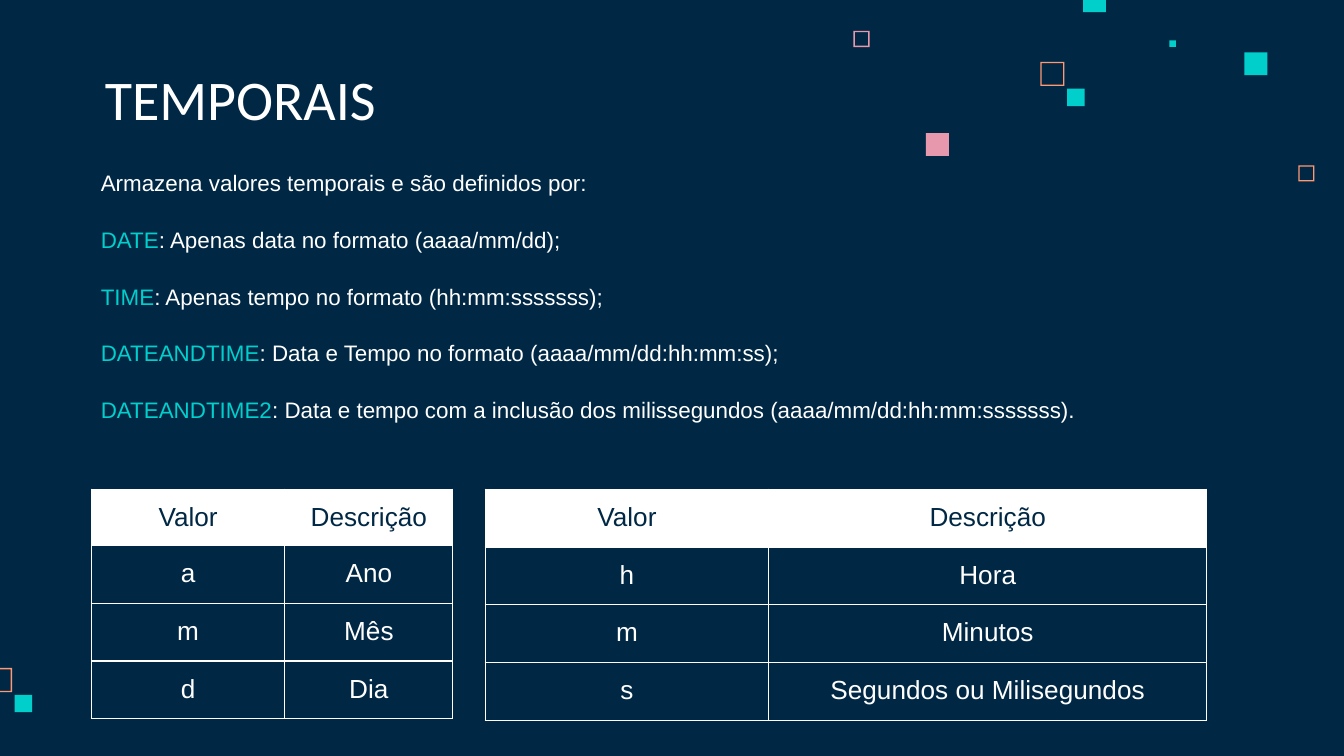
from dataclasses import dataclass

from lxml import etree
from pptx import Presentation, util as u
from pptx.dml import color as col
from pptx.enum import shapes, text
from pptx.oxml import ns


@dataclass(frozen=True)
class Theme:
    navy: str = "002845"
    white: str = "FFFFFF"
    teal: str = "00CFCC"
    pink: str = "E898AC"
    coral: str = "FF9973"
    head: str = "Calibri"
    font: str = "Arial"
    big: float = 30
    mid: float = 14
    small: float = 12
    rule: float = 0.75


T = Theme()
PAD = {f"margin_{side}": u.Inches(0.1) for side in ("left", "top", "right", "bottom")}
SOLID = [
    (8.7, 0.3, 0.05, T.teal), (8.06, -0.08, 0.17, T.teal),
    (9.26, 0.39, 0.17, T.teal), (7.94, 0.66, 0.13, T.teal),
    (6.89, 0.99, 0.17, T.pink), (0.11, 5.17, 0.13, T.teal),
]
HOLLOW = [
    (9.66, 1.23, 0.12, T.coral), (6.35, 0.23, 0.12, T.pink),
    (7.74, 0.46, 0.18, T.coral), (-0.09, 4.97, 0.18, T.coral),
]
LINES = [
    ("", "Armazena valores temporais e são definidos por:"),
    ("DATE", ": Apenas data no formato (aaaa/mm/dd);"),
    ("TIME", ": Apenas tempo no formato (hh:mm:sssssss);"),
    ("DATEANDTIME", ": Data e Tempo no formato (aaaa/mm/dd:hh:mm:ss);"),
    ("DATEANDTIME2", ": Data e tempo com a inclusão dos milissegundos (aaaa/mm/dd:hh:mm:sssssss)."),
]
HEAD = ("Valor", "Descrição")
DAYS = [HEAD, ("a", "Ano"), ("m", "Mês"), ("d", "Dia")]
HOURS = [HEAD, ("h", "Hora"), ("m", "Minutos"), ("s", "Segundos ou Milisegundos")]


def rgb(code):
    return col.RGBColor.from_string(code)


def put(item, **vals):
    for key, val in vals.items():
        setattr(item, key, val)


def paint(fill, code):
    fill.solid()
    fill.fore_color.rgb = rgb(code)


def place(item, box):
    put(item, **dict(zip(("left", "top", "width", "height"), map(u.Inches, box))))


def write(para, words, size, font, code):
    run = para.add_run()
    run.text = words
    put(run.font, size=u.Pt(size), name=font, bold=False)
    run.font.color.rgb = rgb(code)


def frame(item, box, anchor):
    place(item, box)
    put(item.text_frame, **PAD, word_wrap=True, vertical_anchor=anchor,
        auto_size=text.MSO_AUTO_SIZE.NONE)
    return item.text_frame


def square(slide, kind, spot):
    left, top, size, code = spot
    item = slide.shapes.add_shape(kind, *map(u.Inches, (left, top, size, size)))
    item.shadow.inherit = False
    paint(item.fill, code)
    item.line.fill.background()
    if kind == shapes.MSO_SHAPE.FRAME:
        item.adjustments[0] = 0.01 / size


def decor(slide):
    for kind, spots in ((shapes.MSO_SHAPE.RECTANGLE, SOLID), (shapes.MSO_SHAPE.FRAME, HOLLOW)):
        for spot in spots:
            square(slide, kind, spot)


def title(slide, box):
    para = frame(slide.shapes.title, box, text.MSO_ANCHOR.BOTTOM).paragraphs[0]
    para.alignment = text.PP_ALIGN.LEFT
    write(para, "TEMPORAIS", T.big, T.head, T.white)


def body(slide, box):
    area = frame(slide.placeholders[1], box, text.MSO_ANCHOR.TOP)
    for num, (term, rest) in enumerate(LINES):
        para = area.add_paragraph() if num else area.paragraphs[0]
        put(para, space_before=u.Pt(16 if num else 0), line_spacing=1.0)
        props = para._p.get_or_add_pPr()
        props.set("marL", "0")
        props.set("indent", "0")
        etree.SubElement(props, ns.qn("a:buNone"))
        if term:
            write(para, term, T.small, T.font, T.teal)
        write(para, rest, T.small, T.font, T.white)


def border(cell):
    props = cell._tc.get_or_add_tcPr()
    for num, side in enumerate(("lnL", "lnR", "lnT", "lnB")):
        line = etree.Element(ns.qn(f"a:{side}"), w=str(u.Pt(T.rule)))
        fill = etree.SubElement(line, ns.qn("a:solidFill"))
        etree.SubElement(fill, ns.qn("a:srgbClr"), val=T.white)
        props.insert(num, line)


def table(slide, spot, rows, wide, high):
    box = (*spot, sum(wide), sum(high))
    grid = slide.shapes.add_table(len(rows), len(wide), *map(u.Inches, box)).table
    put(grid, first_row=False, horz_banding=False)
    for part, size in zip(grid.columns, wide):
        part.width = u.Inches(size)
    for part, size in zip(grid.rows, high):
        part.height = u.Inches(size)
    for row, words in enumerate(rows):
        for num, word in enumerate(words):
            cell = grid.cell(row, num)
            put(cell, **PAD)
            if row:
                cell.fill.background()
            else:
                paint(cell.fill, T.white)
            border(cell)
            para = cell.text_frame.paragraphs[0]
            para.alignment = text.PP_ALIGN.CENTER
            write(para, word, T.mid, T.font, T.white if row else T.navy)


def main():
    deck = Presentation()
    put(deck, slide_width=u.Pt(720), slide_height=u.Pt(405))
    slide = deck.slides.add_slide(deck.slide_layouts[1])
    paint(slide.background.fill, T.navy)
    decor(slide)
    title(slide, (0.68, 0.45, 5.17, 0.63))
    body(slide, (0.65, 1.16, 8.6, 2.29))
    table(slide, (0.68, 3.64), DAYS, (1.44, 1.25), (0.24, 0.43, 0.43, 0.43))
    table(slide, (3.61, 3.64), HOURS, (2.11, 3.26), (0.43,) * 4)
    deck.save("out.pptx")


if __name__ == "__main__":
    main()
